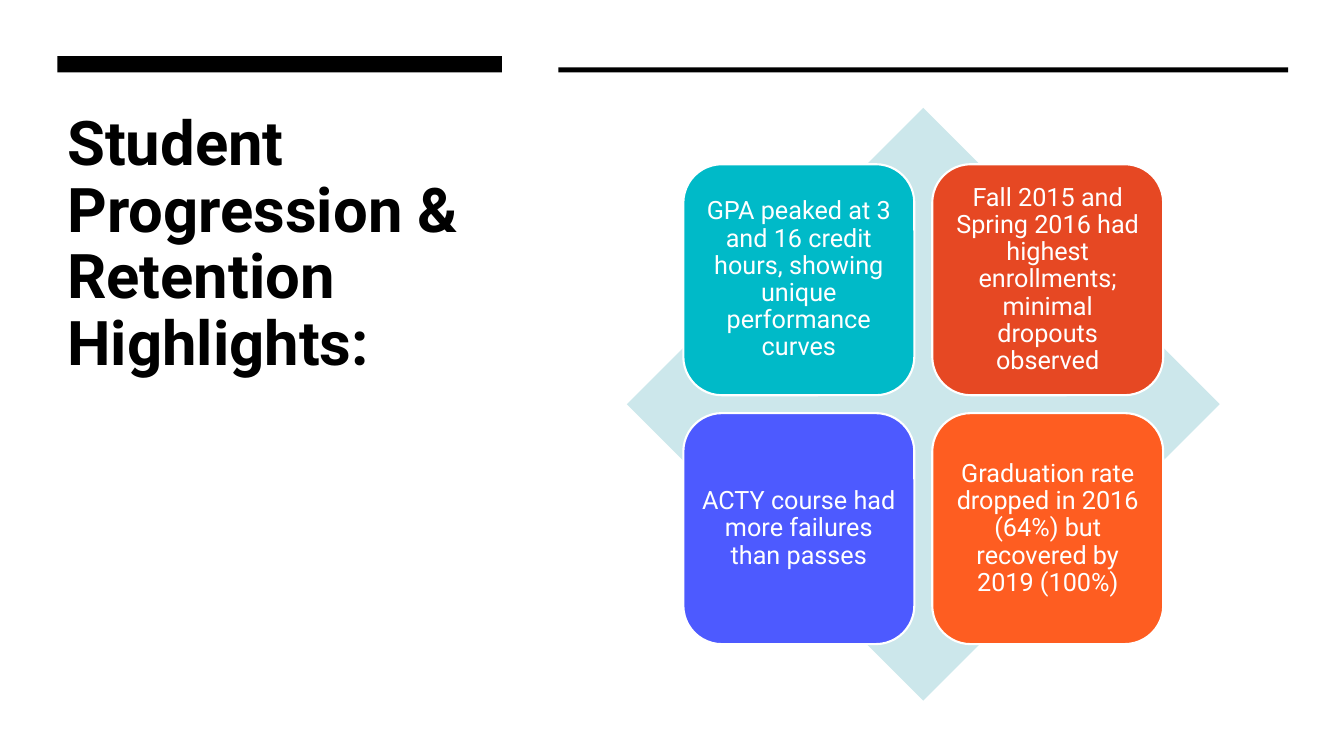
from pptx import Presentation
from pptx.dml.color import RGBColor
from pptx.enum.shapes import MSO_SHAPE
from pptx.enum.text import MSO_ANCHOR, PP_ALIGN
from pptx.util import Pt

COLORS = {
    "black": "000000",
    "white": "FFFFFF",
    "pale": "CCE7EB",
    "teal": "00BAC8",
    "red": "E64823",
    "blue": "4D5AFF",
    "orange": "FE5D21",
}


def rgb(name):
    return RGBColor.from_string(COLORS[name])


def write(tf, text, size=18, color="black", bold=False,
          align=PP_ALIGN.LEFT, anchor=MSO_ANCHOR.TOP):
    tf.word_wrap = True
    tf.vertical_anchor = anchor
    p = tf.paragraphs[0]
    p.alignment = align
    p.line_spacing = 0.9
    r = p.add_run()
    r.text = text
    r.font.name = "Roboto"
    r.font.size = Pt(size)
    r.font.bold = bold
    r.font.color.rgb = rgb(color)


class Deck:
    def __init__(self):
        self.prs = Presentation()
        self.prs.slide_width, self.prs.slide_height = Pt(960), Pt(540)
        self.s = self.prs.slides.add_slide(self.prs.slide_layouts[6])
        self.s.background.fill.solid()
        self.s.background.fill.fore_color.rgb = rgb("white")

    def shape(self, kind, x, y, w, h, fill):
        sp = self.s.shapes.add_shape(kind, Pt(x), Pt(y), Pt(w), Pt(h))
        sp.shadow.inherit = False
        sp.fill.solid()
        sp.fill.fore_color.rgb = rgb(fill)
        sp.line.fill.background()
        return sp

    def title(self, text, x, y, w, h):
        box = self.s.shapes.add_textbox(Pt(x), Pt(y), Pt(w), Pt(h))
        write(box.text_frame, text, size=44, bold=True)

    def card(self, text, x, y, size, fill):
        sp = self.shape(MSO_SHAPE.ROUNDED_RECTANGLE, x, y, size, size, fill)
        sp.line.color.rgb = rgb("white")
        sp.line.width = Pt(1.5)
        tf = sp.text_frame
        tf.margin_left = tf.margin_right = Pt(5)
        tf.margin_top = tf.margin_bottom = Pt(5)
        write(tf, text, color="white", align=PP_ALIGN.CENTER, anchor=MSO_ANCHOR.MIDDLE)


def main():
    deck = Deck()

    # Title and header bars
    deck.title("Student Progression & Retention Highlights:", 41, 77, 317.5, 265)
    deck.shape(MSO_SHAPE.RECTANGLE, 41, 40.2, 317.5, 11.5, "black")
    deck.shape(MSO_SHAPE.RECTANGLE, 398.8, 48.2, 521.3, 3.6, "black")

    # Diamond behind the cards
    deck.shape(MSO_SHAPE.DIAMOND, 447.8, 77, 423.4, 423.4, "pale")

    # Two by two grid of highlights
    left, top, size, step = 488.1, 117.3, 165, 177.8
    highlights = [
        ("GPA peaked at 3 and 16 credit hours, showing unique performance curves", "teal"),
        ("Fall 2015 and Spring 2016 had highest enrollments; minimal dropouts observed", "red"),
        ("ACTY course had more failures than passes", "blue"),
        ("Graduation rate dropped in 2016 (64%) but recovered by 2019 (100%)", "orange"),
    ]
    for i, (text, fill) in enumerate(highlights):
        row, col = divmod(i, 2)
        deck.card(text, left + col * step, top + row * step, size, fill)

    deck.prs.save("out.pptx")


if __name__ == "__main__":
    main()
